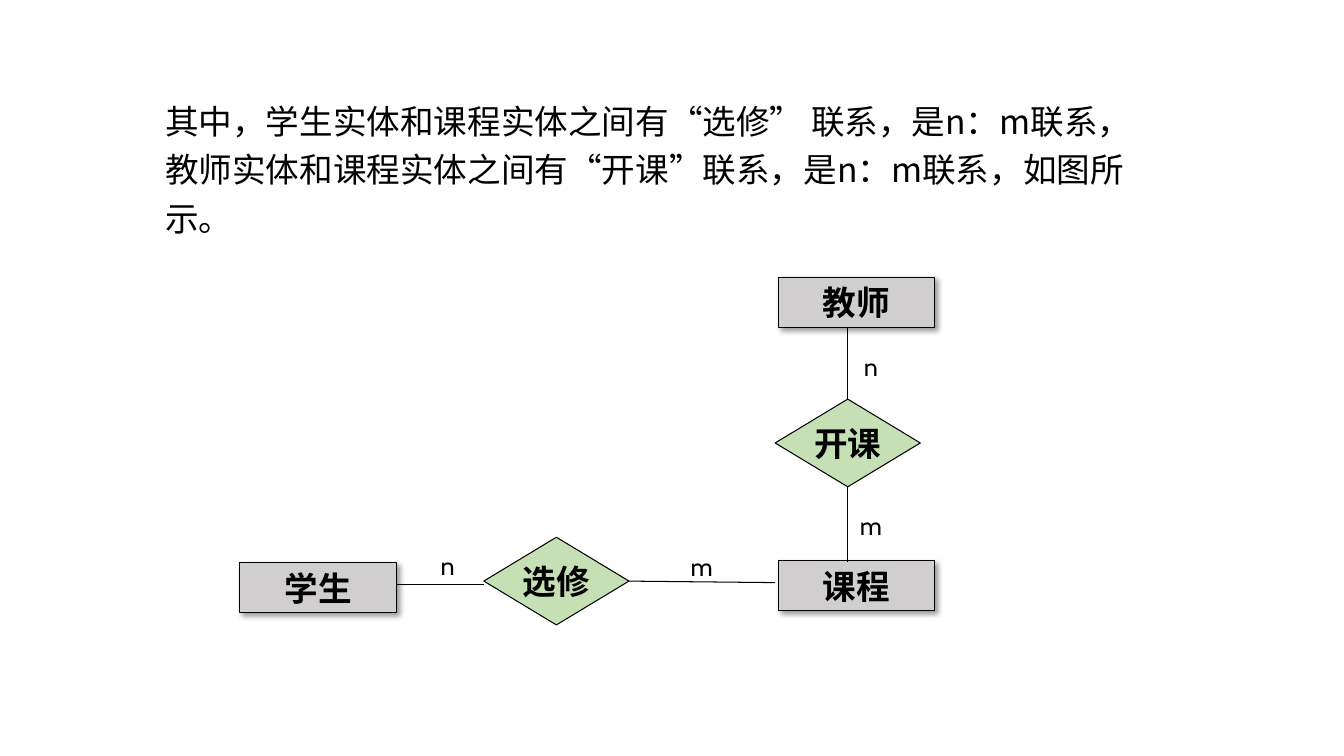
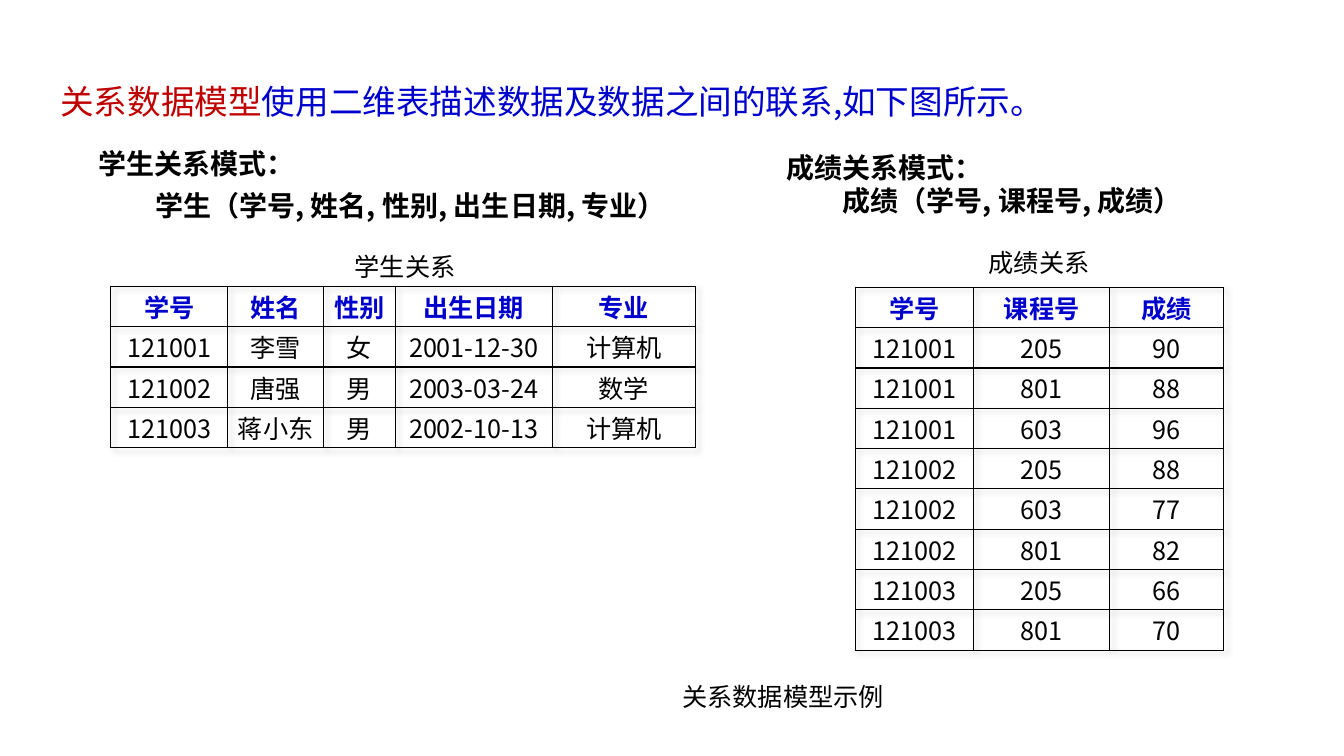
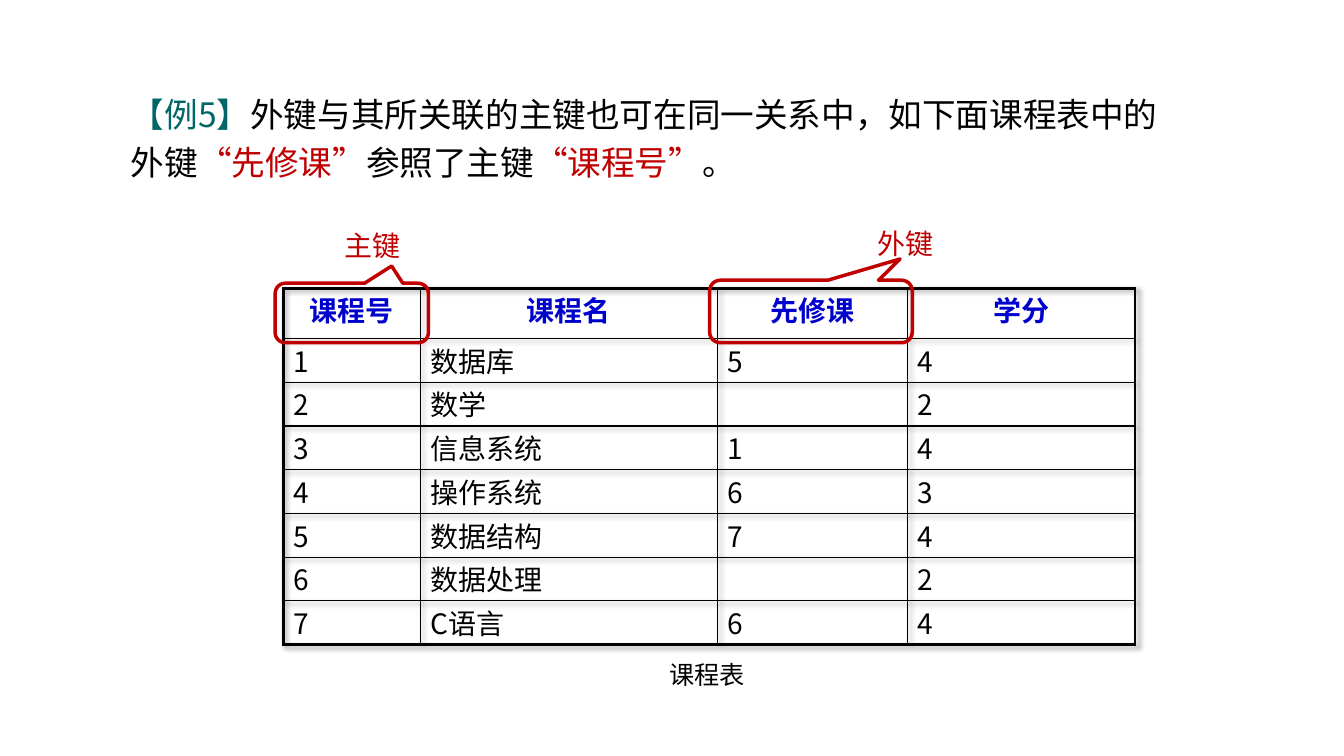
"""Build three slides on entity relations, the relational model and foreign keys."""
import dataclasses
import typing

import lxml.etree
import pptx
import pptx.dml.color
import pptx.enum.dml
import pptx.enum.shapes
import pptx.enum.text
import pptx.oxml.ns
import pptx.util

RGBColor = pptx.dml.color.RGBColor
Shapes = pptx.enum.shapes.MSO_SHAPE
Align = pptx.enum.text.PP_ALIGN
Anchor = pptx.enum.text.MSO_ANCHOR
qn = pptx.oxml.ns.qn

BLACK = RGBColor(0, 0, 0)
WHITE = RGBColor(255, 255, 255)
RED = RGBColor(0xC0, 0, 0)
BLUE = RGBColor(0, 0, 0xCC)
TEAL = RGBColor(0, 0x66, 0x66)
GRAY = RGBColor(0xD0, 0xCE, 0xCE)
GREEN = RGBColor(0xC5, 0xE0, 0xB4)

SANS = "Noto Sans CJK SC"
SERIF = "Times New Roman"
LABEL = "Cabin"
GRID_COLUMNS, GRID_ROWS = 133.33, 75
CELL = pptx.util.Inches(0.1)
LINE_PITCH = 1.2
BODY_PITCH = 1.44
THIN, THICK = 1, 2.25


class Area(typing.NamedTuple):
    """A rectangle in grid columns and rows."""
    left: float
    top: float
    width: float
    height: float


class Span(typing.NamedTuple):
    """A piece of text in one colour."""
    text: str
    color: RGBColor = BLACK


@dataclasses.dataclass(frozen=True)
class Style:
    """The look of the text in a box."""
    size: float = 18
    font: str = SANS
    bold: bool = False
    align: Align = Align.LEFT
    pitch: float = LINE_PITCH
    left_indent: float = 0
    first_indent: float = 0
    space_before: float = 0


@dataclasses.dataclass(frozen=True)
class Node:
    """A shape of the entity diagram."""
    name: str
    area: Area
    kind: Shapes = Shapes.RECTANGLE


@dataclasses.dataclass(frozen=True)
class Grid:
    """A data table with its column widths and row heights."""
    left: float
    top: float
    columns: tuple[float, ...]
    header_height: float
    row_height: float
    rows: tuple[tuple[str, ...], ...]
    header: Style
    body: Style
    edge: float
    shadow: int


@dataclasses.dataclass(frozen=True)
class Callout:
    """A callout around a column head, with its label."""
    text: str
    label: Area
    frame: Area
    pointer: tuple[float, float]


CAPTION = Style()
CENTERED = Style(align=Align.CENTER)
BODY = Style(size=24, pitch=BODY_PITCH)
INDENTED = dataclasses.replace(BODY, left_indent=5)
NODE_STYLE = Style(size=24, font=SERIF, bold=True, align=Align.CENTER)
MARK = Style(font=LABEL, align=Align.CENTER)
SCHEMA = Style(size=20, bold=True)
NOTE = Style(size=20)


def cells(count: float) -> int:
    """Turn grid cells into a length."""
    return pptx.util.Emu(round(count * CELL))


def place(area: Area) -> list[int]:
    """Turn an area into lengths."""
    return [cells(value) for value in area]


def apply(target: typing.Any, values: dict[str, typing.Any]) -> None:
    """Set every attribute named in the values."""
    for name, value in values.items():
        setattr(target, name, value)


def write(para: typing.Any, spans: typing.Sequence[Span], style: Style) -> None:
    """Fill a paragraph with spans in one style."""
    apply(para, {
        "alignment": style.align,
        "line_spacing": pptx.util.Pt(round(style.size * style.pitch, 1)),
        "space_before": pptx.util.Pt(style.space_before),
    })
    if style.left_indent or style.first_indent:
        properties = para._p.get_or_add_pPr()
        properties.set("marL", str(cells(style.left_indent)))
        properties.set("indent", str(cells(style.first_indent)))
    for span in spans:
        run = para.add_run()
        run.text = span.text
        apply(run.font, {"name": style.font, "size": pptx.util.Pt(style.size), "bold": style.bold})
        run.font.color.rgb = span.color
        east = lxml.etree.SubElement(run.font._element, qn("a:ea"))
        east.set("typeface", SANS)


def add_shadow(parent: typing.Any, alpha: int, first: bool = False) -> None:
    """Give an element a soft shadow to the lower right."""
    effects = lxml.etree.Element(qn("a:effectLst"))
    outer = lxml.etree.SubElement(effects, qn("a:outerShdw"), blurRad=str(pptx.util.Pt(4)),
                                  dist=str(pptx.util.Pt(3)), dir="2700000", algn="tl",
                                  rotWithShape="0")
    color = lxml.etree.SubElement(outer, qn("a:srgbClr"), val=str(BLACK))
    lxml.etree.SubElement(color, qn("a:alpha"), val=str(alpha * 1000))
    if first:
        parent.insert(0, effects)
    else:
        parent.append(effects)


def add_text(page: typing.Any, area: Area, style: Style, *spans: Span) -> typing.Any:
    """Add a text box with one paragraph."""
    box = page.shapes.add_textbox(*place(area))
    box.text_frame.word_wrap = True
    write(box.text_frame.paragraphs[0], spans, style)
    return box


def add_schema(page: typing.Any, area: Area, title: str, fields: str, gap: float) -> None:
    """Add a relation schema: a title and an indented list of fields."""
    box = add_text(page, area, SCHEMA, Span(title))
    style = dataclasses.replace(SCHEMA, first_indent=5.6, space_before=gap)
    write(box.text_frame.add_paragraph(), [Span(fields)], style)


def add_node(page: typing.Any, node: Node) -> typing.Any:
    """Add an entity rectangle or a relation diamond."""
    is_entity = node.kind == Shapes.RECTANGLE
    box = page.shapes.add_shape(node.kind, *place(node.area))
    box.fill.solid()
    box.fill.fore_color.rgb = GRAY if is_entity else GREEN
    box.line.color.rgb = BLACK
    box.line.width = pptx.util.Pt(0.75)
    if is_entity:
        add_shadow(box._element.spPr, 40)
    else:
        box.shadow.inherit = False
    apply(box.text_frame, {"word_wrap": is_entity, "vertical_anchor": Anchor.MIDDLE})
    write(box.text_frame.paragraphs[0], [Span(node.name)], NODE_STYLE)
    return box


def add_link(page: typing.Any, start: tuple[float, float], end: tuple[float, float]) -> typing.Any:
    """Add a thin straight connector."""
    link = page.shapes.add_connector(pptx.enum.shapes.MSO_CONNECTOR.STRAIGHT,
                                     *map(cells, (*start, *end)))
    link.line.color.rgb = BLACK
    link.line.width = pptx.util.Pt(0.75)
    lxml.etree.SubElement(link._element.spPr, qn("a:effectLst"))
    return link


def set_borders(cell: typing.Any, widths: dict[str, float]) -> None:
    """Draw the four borders of a table cell."""
    properties = cell._tc.get_or_add_tcPr()
    for index, (side, width) in enumerate(widths.items()):
        line = lxml.etree.Element(qn(f"a:ln{side}"), w=str(pptx.util.Pt(width)))
        fill = lxml.etree.SubElement(line, qn("a:solidFill"))
        lxml.etree.SubElement(fill, qn("a:srgbClr"), val=str(BLACK))
        properties.insert(index, line)


def add_grid(page: typing.Any, grid: Grid) -> None:
    """Add a data table with a blue header row."""
    last_row, last_column = len(grid.rows) - 1, len(grid.columns) - 1
    area = Area(grid.left, grid.top, sum(grid.columns),
                grid.header_height + grid.row_height * last_row)
    table = page.shapes.add_table(last_row + 1, last_column + 1, *place(area)).table
    apply(table, {"first_row": False, "horz_banding": False})
    add_shadow(table._tbl.tblPr, grid.shadow, first=True)
    for column, width in zip(table.columns, grid.columns):
        column.width = cells(width)
    for i, texts in enumerate(grid.rows):
        table.rows[i].height = cells(grid.row_height if i else grid.header_height)
        for j, text in enumerate(texts):
            cell = table.cell(i, j)
            cell.fill.background()
            apply(cell, {"margin_top": cells(0.8), "margin_bottom": cells(0.2)})
            set_borders(cell, {
                "L": THIN if j else grid.edge,
                "R": grid.edge if j == last_column else THIN,
                "T": THIN if i else grid.edge,
                "B": grid.edge if i == last_row else THIN,
            })
            spans = [Span(text, BLACK if i else BLUE)] if text else []
            write(cell.text_frame.paragraphs[0], spans, grid.body if i else grid.header)


def add_callout(page: typing.Any, callout: Callout) -> None:
    """Add a white label and the outlined callout that points to it."""
    label = page.shapes.add_shape(Shapes.RECTANGLE, *place(callout.label))
    label.shadow.inherit = False
    label.fill.solid()
    label.fill.fore_color.rgb = WHITE
    label.line.fill.background()
    label.text_frame.vertical_anchor = Anchor.TOP
    write(label.text_frame.paragraphs[0], [Span(callout.text, RED)], NOTE)
    frame = page.shapes.add_shape(Shapes.ROUNDED_RECTANGULAR_CALLOUT, *place(callout.frame))
    frame.shadow.inherit = False
    frame.fill.background()
    frame.line.color.rgb = RED
    frame.line.width = pptx.util.Pt(2.5)
    for index, value in enumerate((*callout.pointer, 0.17)):
        frame.adjustments[index] = value


def build_diagram(page: typing.Any) -> None:
    """Draw the entity diagram."""
    nodes = (
        Node("课程", Area(77.2, 55.6, 15.5, 5)),
        Node("学生", Area(23.8, 55.8, 15.5, 5)),
        Node("教师", Area(77.2, 27.5, 15.5, 5)),
        Node("选修", Area(48, 53.3, 14.4, 8.7), Shapes.DIAMOND),
        Node("开课", Area(76.9, 39.6, 14.4, 8.7), Shapes.DIAMOND),
    )
    boxes = {node.name: add_node(page, node) for node in nodes}
    add_link(page, (84.1, 48.3), (84.1, 55.8)).begin_connect(boxes["开课"], 2)
    add_link(page, (84.1, 32.5), (84.1, 39.6)).end_connect(boxes["开课"], 0)
    add_link(page, (62.4, 57.6), (76.9, 57.8)).begin_connect(boxes["选修"], 3)
    add_link(page, (39.3, 58), (48, 58))
    for text, left, top in (("n", 82.8, 34.4), ("m", 82.8, 50.1), ("n", 40.8, 54.1), ("m", 66, 54.2)):
        add_text(page, Area(left, top, 7.2, 4), MARK, Span(text))
    add_text(page, Area(15.4, 8.7, 99.4, 15.5), BODY, Span(
        "其中，学生实体和课程实体之间有“选修” 联系，是n：m联系，"
        "教师实体和课程实体之间有“开课”联系，是n：m联系，如图所示。"))


def build_relations(page: typing.Any) -> None:
    """Show the student and score relations."""
    header = dataclasses.replace(CENTERED, bold=True)
    students = (
        ("学号", "姓名", "性别", "出生日期", "专业"),
        ("121001", "李雪", "女", "2001-12-30", "计算机"),
        ("121002", "唐强", "男", "2003-03-24", "数学"),
        ("121003", "蒋小东", "男", "2002-10-13", "计算机"),
    )
    scores = (
        ("学号", "课程号", "成绩"),
        ("121001", "205", "90"),
        ("121001", "801", "88"),
        ("121001", "603", "96"),
        ("121002", "205", "88"),
        ("121002", "603", "77"),
        ("121002", "801", "82"),
        ("121003", "205", "66"),
        ("121003", "801", "70"),
    )
    add_grid(page, Grid(11, 28.4, (11.6, 9.5, 7.1, 15.6, 14.2), 4, 4, students,
                        header, CENTERED, THIN, 20))
    add_grid(page, Grid(84.9, 28.5, (11.7, 13.5, 11.3), 4, 4, scores,
                        header, CENTERED, THIN, 20))
    for text, left, top, width in (("成绩关系", 97.1, 24, 23.3), ("学生关系", 34.2, 24.4, 12.1),
                                   ("关系数据模型示例", 66.7, 67.1, 23.3)):
        add_text(page, Area(left, top, width, 4), CAPTION, Span(text))
    add_schema(page, Area(8.8, 14, 63, 11.8), "学生关系模式：",
               "学生（学号, 姓名, 性别, 出生日期, 专业）", 6)
    add_schema(page, Area(77, 14.4, 43.4, 11), "成绩关系模式：", "成绩（学号, 课程号, 成绩）", 0)
    add_text(page, Area(0, 6.7, 118, 5.9), INDENTED, Span("关系数据模型", RED),
             Span("使用二维表描述数据及数据之间的联系,如下图所示。", BLUE))


def build_foreign_key(page: typing.Any) -> None:
    """Show a foreign key that refers to its own table."""
    courses = (
        ("课程号", "课程名", "先修课", "学分"),
        ("1", "数据库", "5", "4"),
        ("2", "数学", "", "2"),
        ("3", "信息系统", "1", "4"),
        ("4", "操作系统", "6", "3"),
        ("5", "数据结构", "7", "4"),
        ("6", "数据处理", "", "2"),
        ("7", "C语言", "6", "4"),
    )
    header = dataclasses.replace(NOTE, bold=True, align=Align.CENTER)
    add_grid(page, Grid(28.1, 28.6, (13.6, 29.5, 18.8, 22.6), 5, 4.33, courses,
                        header, NOTE, THICK, 40))
    add_text(page, Area(7, 8, 111.3, 10.7), INDENTED, Span("【例5】", TEAL),
             Span("外键与其所关联的主键也可在同一关系中，如下面课程表中的外键"),
             Span("“先修课”", RED), Span("参照了主键"), Span("“课程号”", RED), Span("。"))
    add_text(page, Area(65.4, 64.9, 12.1, 4), CAPTION, Span("课程表"))
    for callout in (
        Callout("主键", Area(33.2, 22.2, 9.3, 4.8), Area(27.3, 28.1, 15.2, 5.9), (0.26, -0.79)),
        Callout("外键", Area(86.1, 22, 14, 5.4), Area(70.4, 27.8, 20.1, 6.2), (0.44, -0.84)),
    ):
        add_callout(page, callout)


def main() -> None:
    """Build the deck and save it."""
    deck = pptx.Presentation()
    apply(deck, {"slide_width": cells(GRID_COLUMNS), "slide_height": cells(GRID_ROWS)})
    for build in (build_diagram, build_relations, build_foreign_key):
        build(deck.slides.add_slide(deck.slide_layouts[6]))
    deck.save("out.pptx")


if __name__ == "__main__":
    main()
